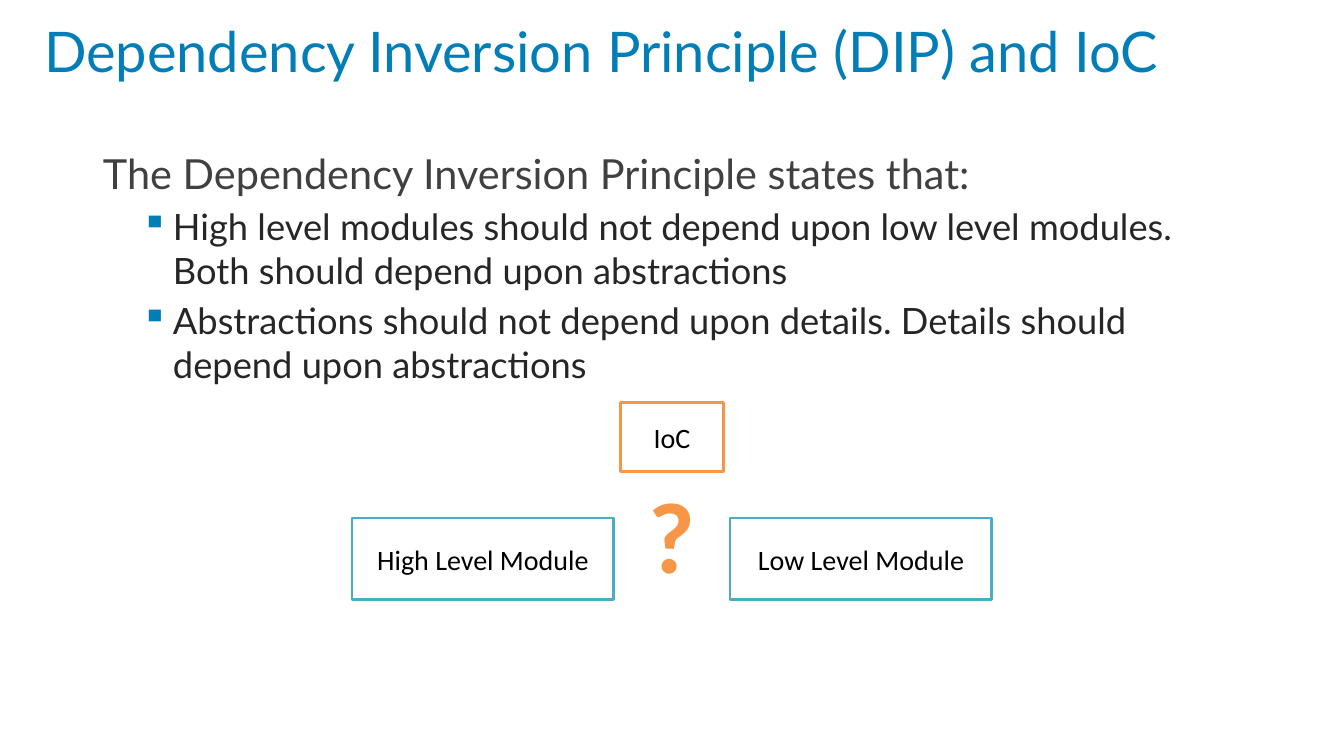
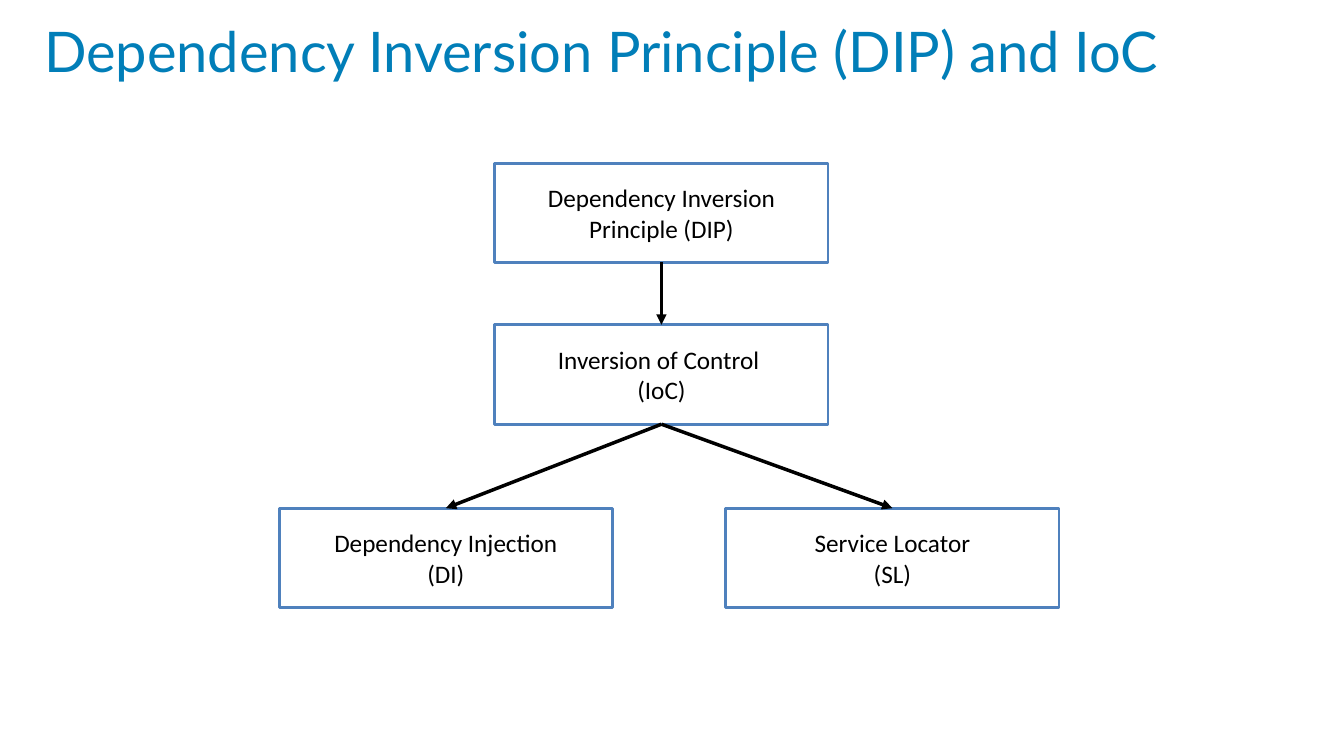
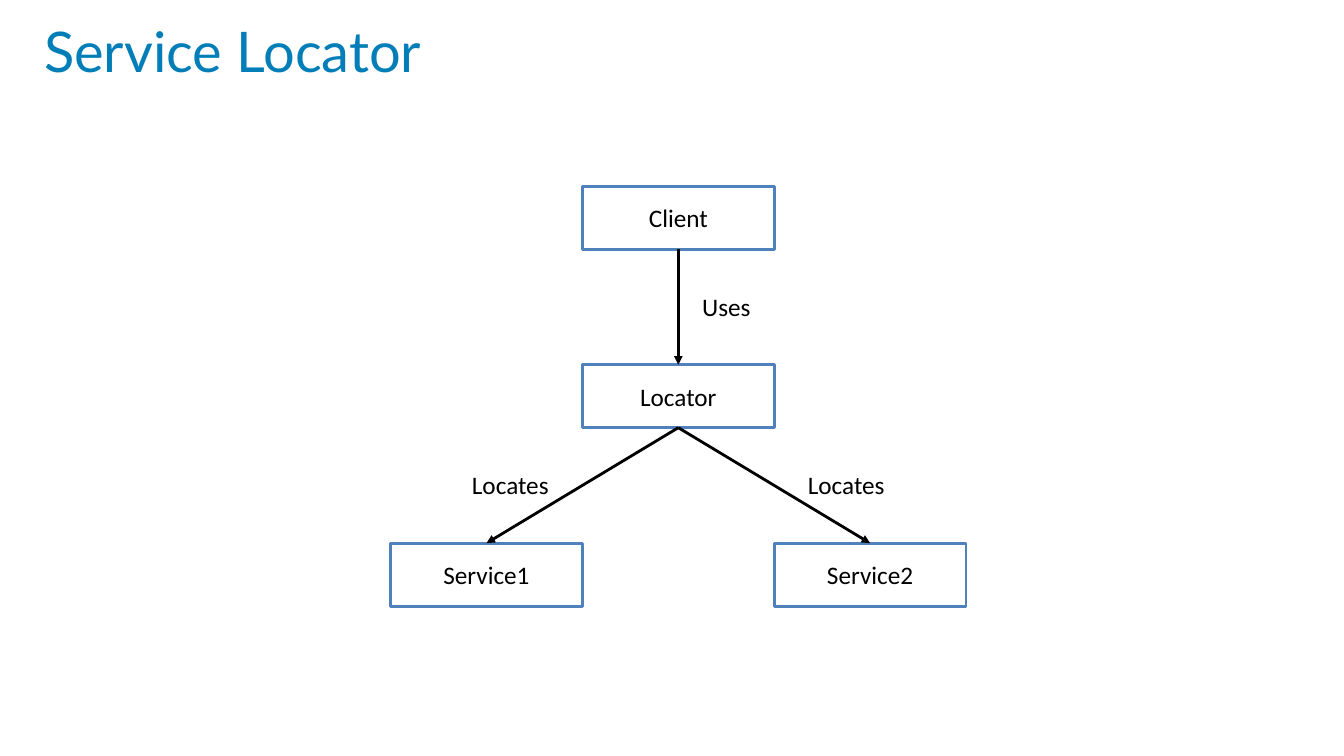
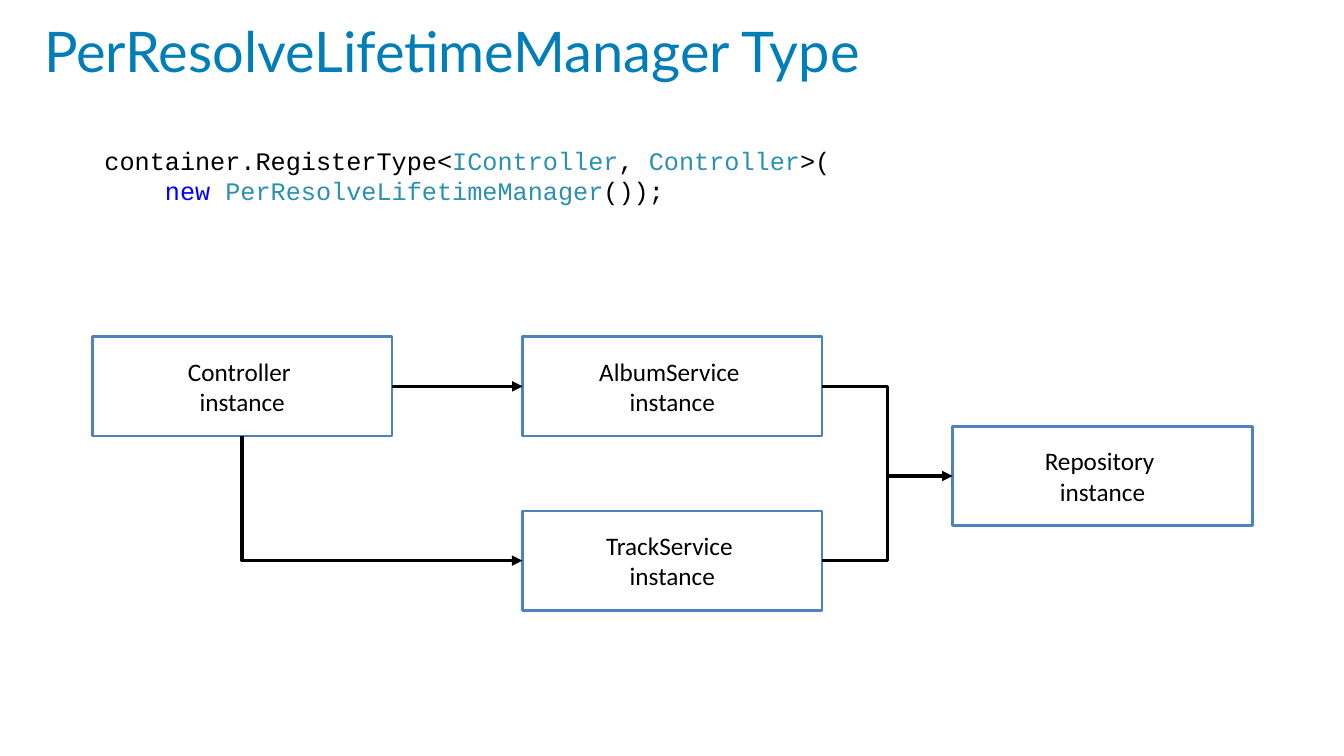
from lxml import etree
from pptx import Presentation
from pptx.dml.color import RGBColor
from pptx.enum.shapes import MSO_CONNECTOR, MSO_SHAPE
from pptx.enum.text import MSO_ANCHOR, PP_ALIGN
from pptx.oxml.ns import qn
from pptx.util import Pt

CENTER = PP_ALIGN.CENTER
MIDDLE = MSO_ANCHOR.MIDDLE
RECTANGLE = MSO_SHAPE.RECTANGLE
STRAIGHT = MSO_CONNECTOR.STRAIGHT
ELBOW = MSO_CONNECTOR.ELBOW

BLACK = RGBColor(0x00, 0x00, 0x00)
WHITE = RGBColor(0xFF, 0xFF, 0xFF)
TITLE_BLUE = RGBColor(0x01, 0x7E, 0xB8)
DARK_GRAY = RGBColor(0x40, 0x40, 0x40)
BODY_GRAY = RGBColor(0x26, 0x26, 0x26)
BOX_BLUE = RGBColor(0x4F, 0x81, 0xBD)
TEAL = RGBColor(0x4B, 0xAC, 0xC6)
ORANGE = RGBColor(0xF7, 0x96, 0x46)
TYPE_TEAL = RGBColor(0x2B, 0x91, 0xAF)
KEYWORD_BLUE = RGBColor(0x00, 0x00, 0xFF)

HEADING_FONT = "Lato"
LABEL_FONT = "Calibri"
CODE_FONT = "Courier New"

# Connection sites of a rectangle
TOP, LEFT, BOTTOM, RIGHT = range(4)


def write(shape, runs, size=18, font=LABEL_FONT, color=BLACK, bold=False,
          align=None, before=None, indent=0, hanging=0, bullet=None):
    """Add one paragraph; runs is a string or a list of (text, colour)."""
    frame = shape.text_frame
    paragraph = frame.paragraphs[0]
    if paragraph.runs:
        paragraph = frame.add_paragraph()
    paragraph.alignment = align
    if before is not None:
        paragraph.space_before = Pt(before)
    properties = paragraph._p.get_or_add_pPr()
    if indent:
        properties.set("marL", str(Pt(indent)))
        properties.set("indent", str(Pt(-hanging)))
    if bullet:
        bullet_color = etree.SubElement(properties, qn("a:buClr"))
        etree.SubElement(bullet_color, qn("a:srgbClr"), val=str(TITLE_BLUE))
        etree.SubElement(properties, qn("a:buChar"), char=bullet)
    if isinstance(runs, str):
        runs = [(runs, color)]
    for text, run_color in runs:
        run = paragraph.add_run()
        run.text = text
        run.font.size = Pt(size)
        run.font.name = font
        run.font.bold = bold
        run.font.color.rgb = run_color


def add_text_box(slide, left, top, width, height, wrap=True):
    shape = slide.shapes.add_textbox(Pt(left), Pt(top), Pt(width), Pt(height))
    shape.text_frame.word_wrap = wrap
    return shape


def add_label(slide, text, left, top, width, height, **text_format):
    write(add_text_box(slide, left, top, width, height, wrap=False), text, **text_format)


def add_box(slide, lines, left, top, width, height, outline=BOX_BLUE, size=18):
    """Add a white outlined box with one centred paragraph per line."""
    shape = slide.shapes.add_shape(RECTANGLE, Pt(left), Pt(top), Pt(width), Pt(height))
    shape.shadow.inherit = False
    shape.fill.solid()
    shape.fill.fore_color.rgb = WHITE
    shape.line.color.rgb = outline
    shape.line.width = Pt(2)
    shape.text_frame.word_wrap = True
    shape.text_frame.vertical_anchor = MIDDLE
    for line in lines:
        write(shape, line, size=size, align=CENTER)
    return shape


def site_point(shape, site):
    across = {LEFT: 0, RIGHT: shape.width}.get(site, shape.width // 2)
    down = {TOP: 0, BOTTOM: shape.height}.get(site, shape.height // 2)
    return shape.left + across, shape.top + down


def add_line(slide, kind, begin, end, width=2.5, arrow="tailEnd", preset=None):
    connector = slide.shapes.add_connector(kind, *begin, *end)
    connector.line.color.rgb = BLACK
    connector.line.width = Pt(width)
    properties = connector._element.spPr
    if arrow:
        etree.SubElement(properties.find(qn("a:ln")), qn(f"a:{arrow}"), type="triangle")
    if preset:
        properties.find(qn("a:prstGeom")).set("prst", preset)
    etree.SubElement(properties, qn("a:effectLst"))
    return connector


def connect(slide, source, source_site, target, target_site, kind=STRAIGHT, **line_format):
    """Glue a connector to a site of each of two boxes."""
    connector = add_line(slide, kind, site_point(source, source_site),
                         site_point(target, target_site), **line_format)
    connector.begin_connect(source, source_site)
    connector.end_connect(target, target_site)


def add_titled_slide(presentation, title):
    slide = presentation.slides.add_slide(presentation.slide_layouts[6])
    shape = add_text_box(slide, 24.5, 0, 864, 72)
    shape.text_frame.vertical_anchor = MIDDLE
    write(shape, title, size=40, font=HEADING_FONT, color=TITLE_BLUE)
    return slide


def add_principle(slide, left, top, width, height):
    body = add_text_box(slide, left, top, width, height)
    write(body, "The Dependency Inversion Principle states that:",
          size=29.6, font=HEADING_FONT, color=DARK_GRAY, before=6)
    for statement in (
        "High level modules should not depend upon low level modules. "
        "Both should depend upon abstractions",
        "Abstractions should not depend upon details. "
        "Details should depend upon abstractions",
    ):
        write(body, statement, size=25.9, font=HEADING_FONT, color=BODY_GRAY,
              before=5, indent=50, hanging=22.5, bullet="▪")


def add_module_question(slide, left, top):
    """Draw two modules with the open question between them."""
    for column, name in enumerate(("High Level Module", "Low Level Module")):
        add_box(slide, [name], left + 270 * column, top + 82.5, 187, 58.5,
                outline=TEAL, size=20)
    add_label(slide, "?", left + 204.5, top + 46.5, 48, 94, size=72, color=ORANGE, bold=True)
    add_box(slide, ["IoC"], left + 191.5, top, 74, 49.5, outline=ORANGE, size=20)


def add_tree(slide, names, center, tops, offsets, box_width, box_height, line_width):
    """Draw a root, its child and two leaves; offsets are leaf centres from center."""
    spots = zip(names, (0, 0, *offsets), (*tops, tops[-1]))
    root, child, *leaves = [
        add_box(slide, lines, center + offset - box_width / 2, top, box_width, box_height)
        for lines, offset, top in spots
    ]
    for parent, target in ((root, child), *((child, leaf) for leaf in leaves)):
        connect(slide, parent, BOTTOM, target, TOP, width=line_width)


def add_code(slide, left, top, width, height):
    code = add_text_box(slide, left, top, width, height)
    write(code, [("container.RegisterType<", BLACK), ("IController", TYPE_TEAL),
                 (", ", BLACK), ("Controller", TYPE_TEAL), (">(", BLACK)], font=CODE_FONT)
    write(code, [("new", KEYWORD_BLUE), (" ", BLACK),
                 ("PerResolveLifetimeManager", TYPE_TEAL), ("());", BLACK)],
          font=CODE_FONT, indent=43.2)


def add_instance_graph(slide, left, top):
    column_step = 307.25

    def instance(name, column, down):
        return add_box(slide, [f"{name} ", "instance"],
                       left + column * column_step, top + down, 214, 71)

    controller = instance("Controller", 0, 0)
    album = instance("AlbumService", 1, 0)
    repository = instance("Repository", 2, 64)
    track = instance("TrackService", 1, 124.5)

    connect(slide, controller, RIGHT, album, LEFT)
    connect(slide, track, LEFT, controller, BOTTOM, kind=ELBOW,
            preset="bentConnector2", arrow="headEnd")
    connect(slide, album, RIGHT, repository, LEFT, kind=ELBOW)
    track_exit = site_point(track, RIGHT)
    repository_entry = site_point(repository, LEFT)
    junction = (track_exit[0] + repository_entry[0]) // 2, repository_entry[1]
    branch = add_line(slide, ELBOW, track_exit, junction, preset="bentConnector2", arrow=None)
    branch.begin_connect(track, RIGHT)


def main():
    presentation = Presentation()
    presentation.slide_width = Pt(960)
    presentation.slide_height = Pt(540)

    slide = add_titled_slide(presentation, "Dependency Inversion Principle (DIP) and IoC")
    add_principle(slide, 66.5, 102, 828, 161)
    add_module_question(slide, 251.5, 287.5)

    slide = add_titled_slide(presentation, "Dependency Inversion Principle (DIP) and IoC")
    add_tree(slide, [["Dependency Inversion Principle (DIP)"],
                     ["Inversion of Control ", "(IoC)"],
                     ["Dependency Injection", "(DI)"],
                     ["Service Locator", "(SL)"]],
             center=472.5, tops=(116.5, 232, 363), offsets=(-154, 165),
             box_width=238, box_height=71, line_width=2.5)

    slide = add_titled_slide(presentation, "Service Locator")
    add_tree(slide, [["Client"], ["Locator"], ["Service1"], ["Service2"]],
             center=484.5, tops=(133, 260.5, 388), offsets=(-137, 137),
             box_width=137, box_height=45, line_width=2)
    add_label(slide, "Uses", 494.5, 204.5, 50, 29)
    for left in (330, 570):
        add_label(slide, "Locates", left, 332, 70, 29)

    slide = add_titled_slide(presentation, "PerResolveLifetimeManager Type")
    add_code(slide, 67.5, 100, 785, 51)
    add_instance_graph(slide, 66, 240.5)

    presentation.save("out.pptx")


if __name__ == "__main__":
    main()
